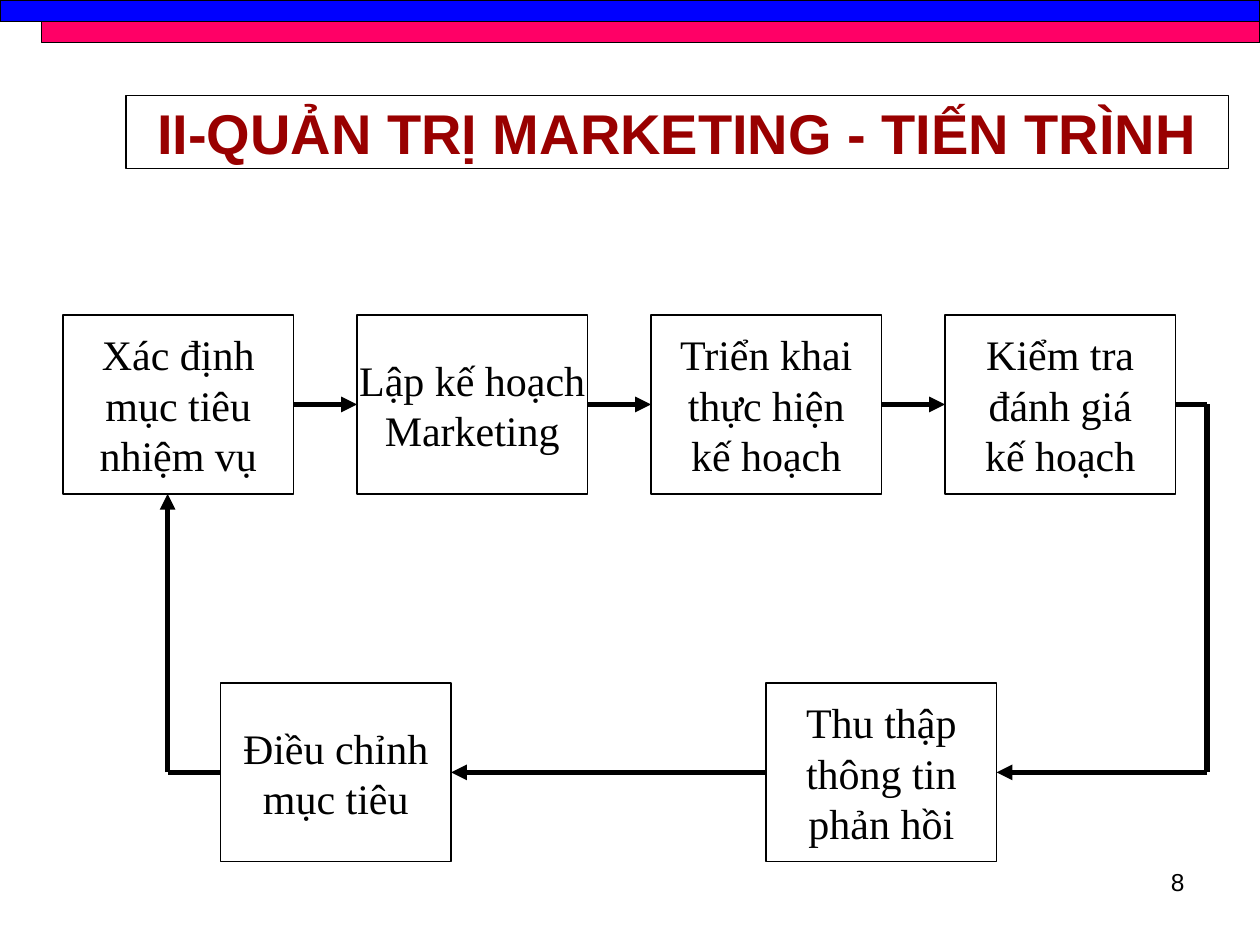
from dataclasses import dataclass

from lxml import etree
from pptx import Presentation
from pptx.dml.color import RGBColor
from pptx.enum import shapes as sh, text as tx
from pptx.oxml.ns import qn
from pptx.util import Inches, Pt

TOP, LEFT, BOTTOM, RIGHT = range(4)


@dataclass(frozen=True)
class Theme:
    ink: str = "000000"
    paper: str = "FFFFFF"
    title: str = "990000"
    blue: str = "0000FF"
    pink: str = "FF0066"
    sans: str = "Arial"
    serif: str = "Times New Roman"
    head: int = 32
    body: int = 24
    small: int = 14
    thin: float = 0.75
    thick: int = 3


@dataclass(frozen=True)
class Step:
    left: float
    top: float
    lines: tuple[str, ...]


@dataclass(frozen=True)
class Joint:
    """A side of a step box; the box is given by its index."""
    step: int
    side: int


@dataclass(frozen=True)
class Link:
    start: Joint | tuple[float, float]
    end: Joint | tuple[float, float]
    arrow: bool = True


T = Theme()
WIDE, HIGH = 1.83, 1.42
ROW, LOW = 2.5, 5.42
FIRST, PITCH = 0.5, 7 / 3
LANE_L, LANE_R = 1.33, 9.58
ROW_MID, LOW_MID = ROW + HIGH / 2, LOW + HIGH / 2

PLAN = (
    ("Xác định", "mục tiêu", "nhiệm vụ"),
    ("Lập kế hoạch", "Marketing"),
    ("Triển khai", "thực hiện", "kế hoạch"),
    ("Kiểm tra", "đánh giá", "kế hoạch"),
)
STEPS = [Step(FIRST + i * PITCH, ROW, lines) for i, lines in enumerate(PLAN)] + [
    Step(1.75, LOW, ("Điều chỉnh", "mục tiêu")),
    Step(6.08, LOW, ("Thu thập", "thông tin", "phản hồi")),
]
CHECK, ADJUST, GATHER = 3, 4, 5

LINKS = [Link(Joint(i, RIGHT), Joint(i + 1, LEFT)) for i in range(CHECK)] + [
    Link(Joint(CHECK, RIGHT), (LANE_R, ROW_MID), False),
    Link((LANE_R, ROW_MID), (LANE_R, LOW_MID), False),
    Link((LANE_R, LOW_MID), Joint(GATHER, RIGHT)),
    Link(Joint(GATHER, LEFT), Joint(ADJUST, RIGHT)),
    Link(Joint(ADJUST, LEFT), (LANE_L, LOW_MID), False),
    Link((LANE_L, LOW_MID), (LANE_L, ROW + HIGH)),
]


def put(shape, left: float, top: float, width: float, height: float) -> None:
    shape.left, shape.top = Inches(left), Inches(top)
    shape.width, shape.height = Inches(width), Inches(height)


def edge(line, width: float) -> None:
    line.color.rgb = RGBColor.from_string(T.ink)
    line.width = Pt(width)


def write(frame, lines: tuple[str, ...], font: str, size: int,
          color: str = T.ink, bold: bool = False,
          align=tx.PP_ALIGN.CENTER) -> None:
    frame.vertical_anchor = tx.MSO_ANCHOR.MIDDLE
    for i, line in enumerate(lines):
        para = frame.add_paragraph() if i else frame.paragraphs[0]
        para.alignment = align
        run = para.add_run()
        run.text = line
        run.font.name, run.font.size, run.font.bold = font, Pt(size), bold
        run.font.color.rgb = RGBColor.from_string(color)


def box(slide, left: float, top: float, width: float, height: float, fill: str):
    shape = slide.shapes.add_shape(
        sh.MSO_SHAPE.RECTANGLE, *map(Inches, (left, top, width, height)))
    shape.shadow.inherit = False
    shape.fill.solid()
    shape.fill.fore_color.rgb = RGBColor.from_string(fill)
    edge(shape.line, T.thin)
    return shape


def draw_step(slide, step: Step):
    shape = box(slide, step.left, step.top, WIDE, HIGH, T.paper)
    shape.text_frame.word_wrap = False
    write(shape.text_frame, step.lines, T.serif, T.body)
    return shape


def spot(end: Joint | tuple[float, float]) -> tuple[float, float]:
    """Give the point in inches where a link ends."""
    if not isinstance(end, Joint):
        return end
    step = STEPS[end.step]
    return step.left + (WIDE if end.side == RIGHT else 0), step.top + HIGH / 2


def draw_link(slide, link: Link, boxes: list) -> None:
    line = slide.shapes.add_connector(
        sh.MSO_CONNECTOR.STRAIGHT,
        *map(Inches, spot(link.start) + spot(link.end)))
    if isinstance(link.start, Joint):
        line.begin_connect(boxes[link.start.step], link.start.side)
    if isinstance(link.end, Joint):
        line.end_connect(boxes[link.end.step], link.end.side)
    edge(line.line, T.thick)
    props = line._element.spPr
    if link.arrow:
        etree.SubElement(props.find(qn("a:ln")), qn("a:tailEnd"), type="triangle")
    etree.SubElement(props, qn("a:effectLst"))


def main() -> None:
    deck = Presentation()
    deck.slide_width, deck.slide_height = Inches(10), Inches(7.5)
    slide = deck.slides.add_slide(deck.slide_layouts[5])

    title = slide.shapes.title
    put(title, 1, 0.76, 8.75, 0.58)
    edge(title.line, T.thin)
    title.text_frame.auto_size = tx.MSO_AUTO_SIZE.NONE
    write(title.text_frame, ("II-QUẢN TRỊ MARKETING - TIẾN TRÌNH",),
          T.sans, T.head, T.title, True)

    number = slide.shapes.add_textbox(*map(Inches, (7.17, 6.83, 2.33, 0.52))).text_frame
    number.word_wrap = True
    write(number, ("8",), T.sans, T.small, align=tx.PP_ALIGN.RIGHT)
    number.vertical_anchor = tx.MSO_ANCHOR.TOP

    boxes = [draw_step(slide, step) for step in STEPS]
    for link in LINKS:
        draw_link(slide, link, boxes)

    box(slide, 0, 0, 10, 0.17, T.blue)
    box(slide, 0.33, 0.17, 9.67, 0.17, T.pink)
    deck.save("out.pptx")


if __name__ == "__main__":
    main()
